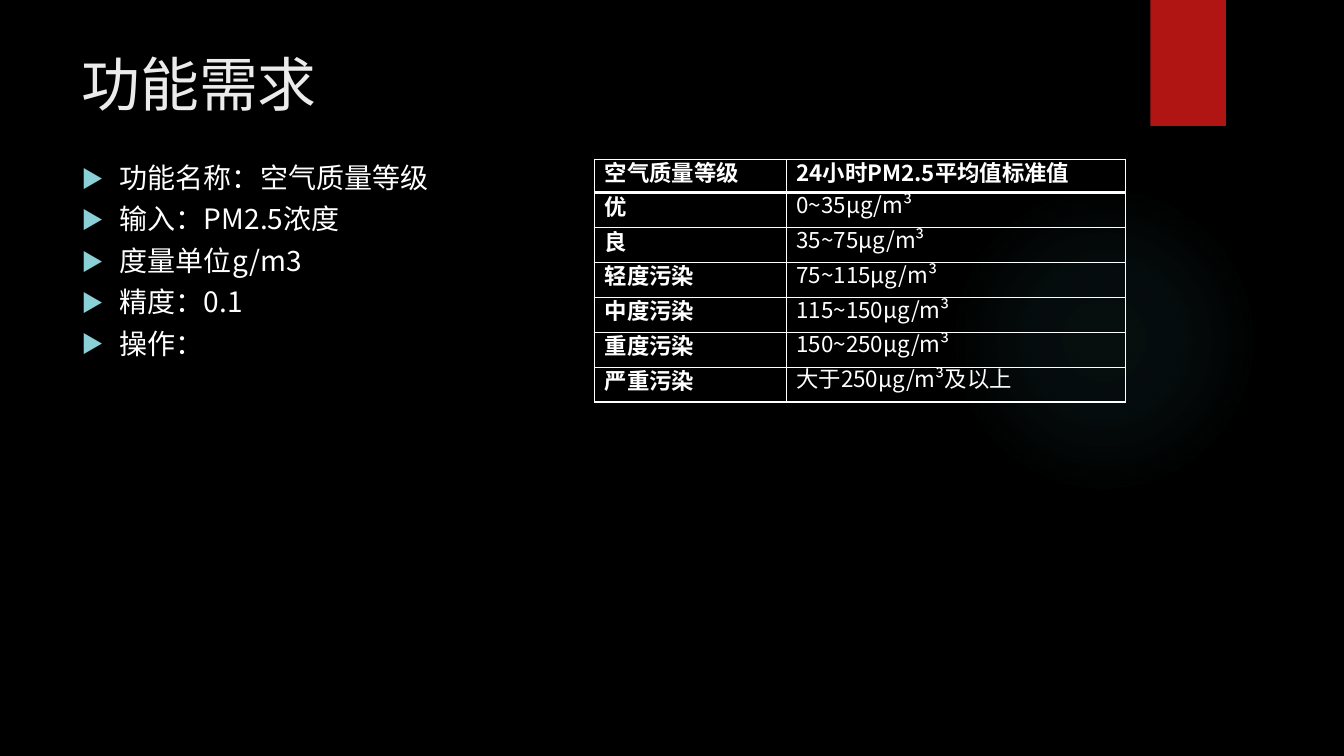
from dataclasses import dataclass

from lxml import etree
from pptx import Presentation
from pptx.dml.color import RGBColor
from pptx.enum.shapes import MSO_SHAPE
from pptx.enum.text import MSO_ANCHOR
from pptx.oxml import parse_xml
from pptx.oxml.ns import nsdecls, qn
from pptx.util import Inches, Pt

OVAL, RECTANGLE = MSO_SHAPE.OVAL, MSO_SHAPE.RECTANGLE
TOP, MIDDLE = MSO_ANCHOR.TOP, MSO_ANCHOR.MIDDLE


@dataclass(frozen=True)
class Theme:
    """Colours, type sizes and font of the slide."""
    background: str = "000000"
    ribbon: str = "B01513"
    glow: str = "50B9C1"
    bullet: str = "8AD0D6"
    heading: str = "EBEBEB"
    text: str = "FFFFFF"
    font: str = "Noto Sans CJK SC"
    title_size: float = 42
    body_size: float = 20
    table_size: float = 16


def write(para, text, *, font, size, color, bold=False, spacing=None, before=None):
    """Write formatted text into a paragraph."""
    span = para.add_run()
    span.text = text
    span.font.name = font
    span.font.size = Pt(size)
    span.font.bold = bold
    span.font.color.rgb = RGBColor.from_string(color)
    east_asian = etree.SubElement(span.font._element, qn("a:ea"))
    east_asian.set("typeface", font)
    para.line_spacing = spacing
    if before is not None:
        para.space_before = Pt(before)


class SlideBuilder:
    """Draws themed elements on one slide."""

    def __init__(self, slide, theme):
        """Keep the slide and theme and paint the background."""
        self.slide, self.theme = slide, theme
        slide.background.fill.solid()
        slide.background.fill.fore_color.rgb = RGBColor.from_string(theme.background)

    def shape(self, kind, left, top, width, height):
        """Add a preset shape without outline or shadow."""
        shape = self.slide.shapes.add_shape(
            kind, Inches(left), Inches(top), Inches(width), Inches(height))
        shape.shadow.inherit = False
        shape.line.fill.background()
        return shape

    def glow(self, left, top, diameter):
        """Add a soft round light that fades outwards."""
        shape = self.shape(OVAL, left, top, diameter, diameter)
        stops = "".join(
            f'<a:gs pos="{place * 1000}"><a:srgbClr val="{self.theme.glow}">'
            f'<a:alpha val="{alpha * 1000}"/></a:srgbClr></a:gs>'
            for place, alpha in ((0, 7), (36, 6), (69, 0), (100, 0)))
        gradient = parse_xml(
            f'<a:gradFill {nsdecls("a")}><a:gsLst>{stops}</a:gsLst><a:path path="circle">'
            '<a:fillToRect l="50000" t="50000" r="50000" b="50000"/></a:path></a:gradFill>')
        shape._element.spPr.find(qn("a:prstGeom")).addnext(gradient)

    def ribbon(self, left, top, width, height):
        """Add the solid corner ribbon."""
        shape = self.shape(RECTANGLE, left, top, width, height)
        shape.fill.solid()
        shape.fill.fore_color.rgb = RGBColor.from_string(self.theme.ribbon)

    def text_box(self, left, top, width, height):
        """Add a wrapping text box and return its frame."""
        box = self.slide.shapes.add_textbox(
            Inches(left), Inches(top), Inches(width), Inches(height))
        box.text_frame.word_wrap = True
        return box.text_frame

    def title(self, text, left, top, width, height):
        """Add the slide title."""
        theme = self.theme
        frame = self.text_box(left, top, width, height)
        write(frame.paragraphs[0], text, font=theme.font, size=theme.title_size,
              color=theme.heading, spacing=0.9)

    def bullets(self, items, left, top, width, height, indent=0.38):
        """Add a bulleted list."""
        theme = self.theme
        frame = self.text_box(left, top, width, height)
        for index, item in enumerate(items):
            para = frame.add_paragraph() if index else frame.paragraphs[0]
            properties = para._p.get_or_add_pPr()
            properties.set("marL", str(Inches(indent)))
            properties.set("indent", str(-Inches(indent)))
            color = etree.SubElement(properties, qn("a:buClr"))
            etree.SubElement(color, qn("a:srgbClr")).set("val", theme.bullet)
            etree.SubElement(properties, qn("a:buSzPct")).set("val", "80000")
            etree.SubElement(properties, qn("a:buFont")).set("typeface", theme.font)
            etree.SubElement(properties, qn("a:buChar")).set("char", "▶")
            write(para, item, font=theme.font, size=theme.body_size, color=theme.text,
                  spacing=0.9, before=8 if index else 0)

    def borders(self, cell, **widths):
        """Draw the four borders of a cell, given widths in points."""
        properties = cell._tc.get_or_add_tcPr()
        for place, side in enumerate("LRTB"):
            line = parse_xml(
                f'<a:ln{side} {nsdecls("a")} w="{Pt(widths.get(side, 1))}"><a:solidFill>'
                f'<a:srgbClr val="{self.theme.text}"/></a:solidFill></a:ln{side}>')
            properties.insert(place, line)

    def table(self, rows, left, top, width, height, label_width, header_height):
        """Add a bordered table with a header row and a label column."""
        theme = self.theme
        table = self.slide.shapes.add_table(
            len(rows), 2, Inches(left), Inches(top), Inches(width), Inches(height)).table
        table.first_row = table.horz_banding = False
        table.columns[0].width = Inches(label_width)
        table.columns[1].width = Inches(width - label_width)
        row_height = (height - header_height) / (len(rows) - 1)
        for row, texts in enumerate(rows):
            table.rows[row].height = Inches(row_height if row else header_height)
            for column, text in enumerate(texts):
                cell = table.cell(row, column)
                strong = row == 0 or column == 0
                cell.fill.background()
                cell.vertical_anchor = MIDDLE if strong else TOP
                cell.margin_left = cell.margin_right = Inches(0.1)
                cell.margin_top = cell.margin_bottom = Inches(0.02)
                self.borders(cell, T=3 if row == 1 else 1, B=1 if row else 3)
                write(cell.text_frame.paragraphs[0], text, font=theme.font,
                      size=theme.table_size, color=theme.text, bold=strong,
                      spacing=Pt(16.5 if strong else 18))


def main():
    """Build and save the deck."""
    deck = Presentation()
    deck.slide_width, deck.slide_height = Inches(13.33), Inches(7.5)
    page = SlideBuilder(deck.slides.add_slide(deck.slide_layouts[6]), Theme())
    page.glow(9.41, 1.83, 3.08)
    page.ribbon(11.41, 0, 0.75, 1.25)
    page.title("功能需求", 0.71, 0.5, 10.29, 1.09)
    page.bullets(["功能名称：空气质量等级", "输入：PM2.5浓度", "度量单位g/m3", "精度：0.1", "操作："],
                 0.71, 1.58, 5.19, 2.79)
    air_levels = [
        ("空气质量等级", "24小时PM2.5平均值标准值"),
        ("优", "0~35μg/m³"),
        ("良", "35~75μg/m³"),
        ("轻度污染", "75~115μg/m³"),
        ("中度污染", "115~150μg/m³"),
        ("重度污染", "150~250μg/m³"),
        ("严重污染", "大于250μg/m³及以上"),
    ]
    page.table(air_levels, 5.9, 1.58, 5.26, 2.41, label_width=1.9, header_height=0.33)
    deck.save("out.pptx")


if __name__ == "__main__":
    main()
